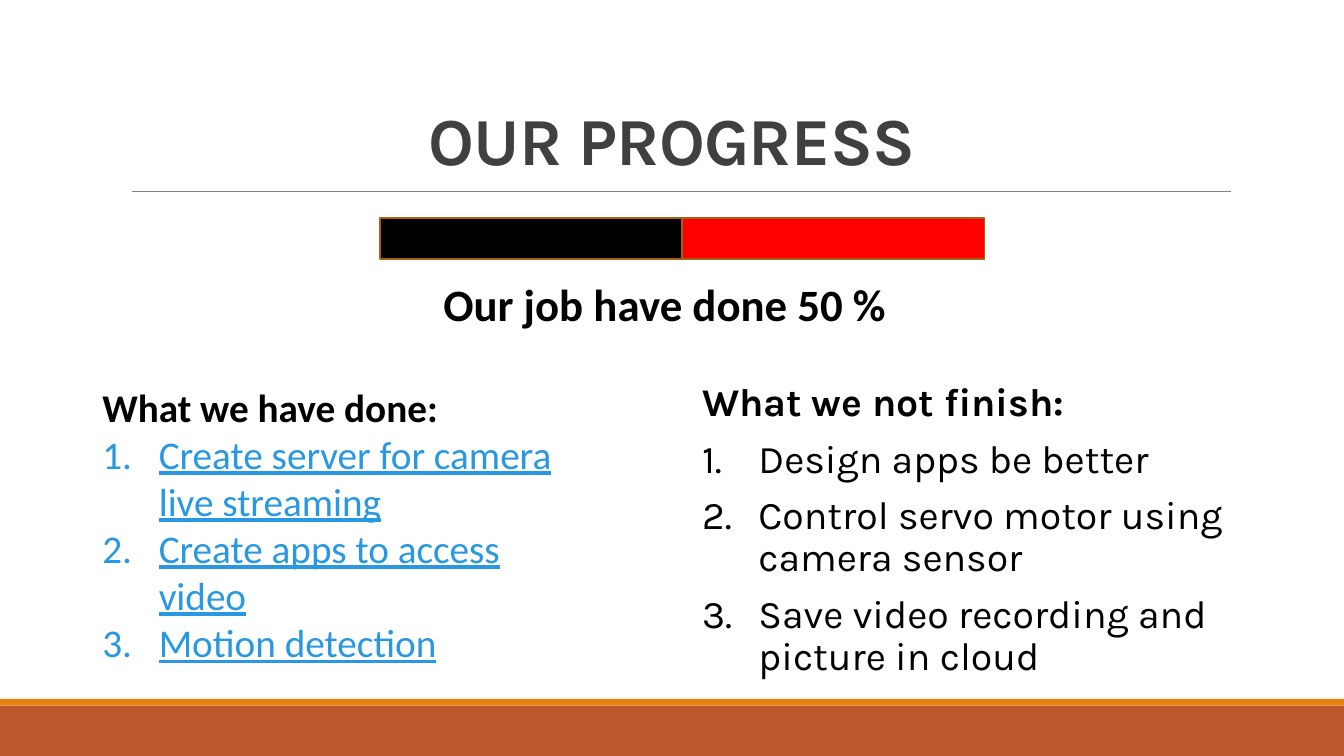
from pptx import Presentation
from pptx.dml.color import RGBColor
from pptx.enum.shapes import MSO_CONNECTOR, MSO_SHAPE
from pptx.enum.text import MSO_ANCHOR, MSO_AUTO_SIZE, PP_ALIGN
from pptx.oxml.ns import qn
from pptx.util import Inches, Pt
from lxml import etree

RECTANGLE = MSO_SHAPE.RECTANGLE
STRAIGHT = MSO_CONNECTOR.STRAIGHT
BOTTOM, TOP = MSO_ANCHOR.BOTTOM, MSO_ANCHOR.TOP
NO_AUTOFIT = MSO_AUTO_SIZE.NONE
CENTER = PP_ALIGN.CENTER

BLACK = RGBColor(0x00, 0x00, 0x00)
RED = RGBColor(0xFF, 0x00, 0x00)
TITLE_GRAY = RGBColor(0x40, 0x40, 0x40)
RULE_GRAY = RGBColor(0x80, 0x80, 0x80)
RUST = RGBColor(0xBD, 0x58, 0x2C)
ORANGE = RGBColor(0xE4, 0x83, 0x12)
BAR_BORDER = RGBColor(0xA9, 0x61, 0x0D)
LINK_BLUE = RGBColor(0x29, 0x98, 0xE3)

# The page is a grid of 160 columns by 90 rows
COLUMNS, ROWS = 160, 90
WIDTH, HEIGHT = Inches(13.33), Inches(7.5)
LIST_INDENT = Inches(0.56)

DONE = ["Create server for camera live streaming",
        "Create apps to access video",
        "Motion detection"]
UNFINISHED = ["Design apps be better",
              "Control servo motor using camera sensor",
              "Save video recording and picture in cloud"]


def across(columns):
    return round(WIDTH * columns / COLUMNS)


def down(rows):
    return round(HEIGHT * rows / ROWS)


def grid_area(left, top, width, height):
    return across(left), down(top), across(width), down(height)


def add_block(page, area, fill, border=None):
    block = page.shapes.add_shape(RECTANGLE, *grid_area(*area))
    block.shadow.inherit = False
    block.fill.solid()
    block.fill.fore_color.rgb = fill
    if border is None:
        block.line.fill.background()
    else:
        block.line.color.rgb = border
        block.line.width = Pt(1.25)


def add_rule(page, left, right, row):
    rule = page.shapes.add_connector(
        STRAIGHT, across(left), down(row), across(right), down(row))
    rule.line.color.rgb = RULE_GRAY
    rule.line.width = Pt(0.5)
    etree.SubElement(rule._element.spPr, qn("a:effectLst"))


def style_text(para, font, size, color, bold=False, underline=False):
    for span in para.runs:
        span.font.name = font
        span.font.size = Pt(size)
        span.font.color.rgb = color
        span.font.bold = bold
        span.font.underline = underline


def number_paragraph(para):
    properties = para._p.get_or_add_pPr()
    properties.set("marL", str(LIST_INDENT))
    properties.set("indent", str(-LIST_INDENT))
    etree.SubElement(properties, qn("a:buFont"), typeface="+mj-lt")
    etree.SubElement(properties, qn("a:buAutoNum"), type="arabicPeriod")


def add_text_box(page, area, text):
    box = page.shapes.add_textbox(*grid_area(*area))
    frame = box.text_frame
    frame.word_wrap = True
    frame.vertical_anchor = TOP
    frame.text = text
    return frame


def add_numbered_list(page, area, heading, items, font, color,
                      underline=False, line_spacing=None, space_before=None):
    frame = add_text_box(page, area, "\n".join([heading, *items]))
    for index, para in enumerate(frame.paragraphs):
        para.line_spacing = line_spacing
        para.space_before = space_before
        if index == 0:
            style_text(para, font, 28, BLACK, bold=True)
        else:
            number_paragraph(para)
            style_text(para, font, 28, color, underline=underline)


def set_title(page, area, text):
    title = page.shapes.title
    title.left, title.top, title.width, title.height = grid_area(*area)
    frame = title.text_frame
    frame.text = text
    frame.word_wrap = True
    frame.auto_size = NO_AUTOFIT
    frame.vertical_anchor = BOTTOM
    para = frame.paragraphs[0]
    para.alignment = CENTER
    para.line_spacing = 0.85
    style_text(para, "Karla", 48, TITLE_GRAY, bold=True)
    for span in para.runs:
        span.font._element.set("spc", "-50")


def main():
    deck = Presentation()
    deck.slide_width, deck.slide_height = WIDTH, HEIGHT
    page = deck.slides.add_slide(deck.slide_layouts[5])

    # Footer bands and title
    add_block(page, (0, 84, COLUMNS, 6), RUST)
    add_block(page, (0, 83.2, COLUMNS, 0.8), ORANGE)
    add_rule(page, 15.7, 146.5, 22.8)
    set_title(page, (11, 4.5, 138, 17.4), "OUR PROGRESS")

    # Progress bar: two equal halves
    bar_left, half = 45.2, 36
    for index, fill in enumerate((BLACK, RED)):
        add_block(page, (bar_left + index * half, 26, half, 4.8),
                  fill, BAR_BORDER)
    caption = add_text_box(page, (51.6, 32.4, 59.3, 7.7),
                           "Our job have done 50 %")
    style_text(caption.paragraphs[0], "Calibri", 32, BLACK, bold=True)

    # Finished and unfinished work
    add_numbered_list(page, (11, 45, 56.6, 40.8), "What we have done:", DONE,
                      "Calibri", LINK_BLUE, underline=True)
    add_numbered_list(page, (82.4, 45, 69.6, 37.4), "What we not finish:",
                      UNFINISHED, "Karla", BLACK,
                      line_spacing=0.9, space_before=Pt(10))

    deck.save("out.pptx")


if __name__ == "__main__":
    main()
